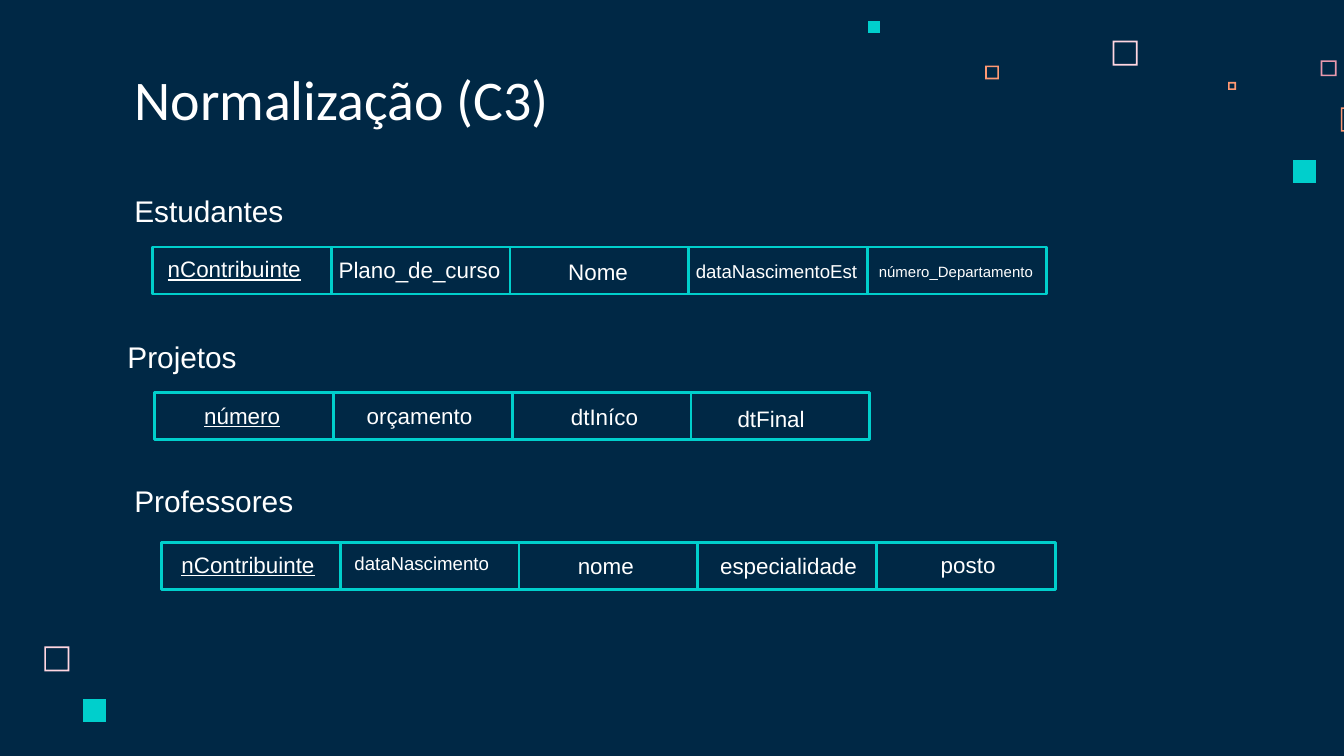
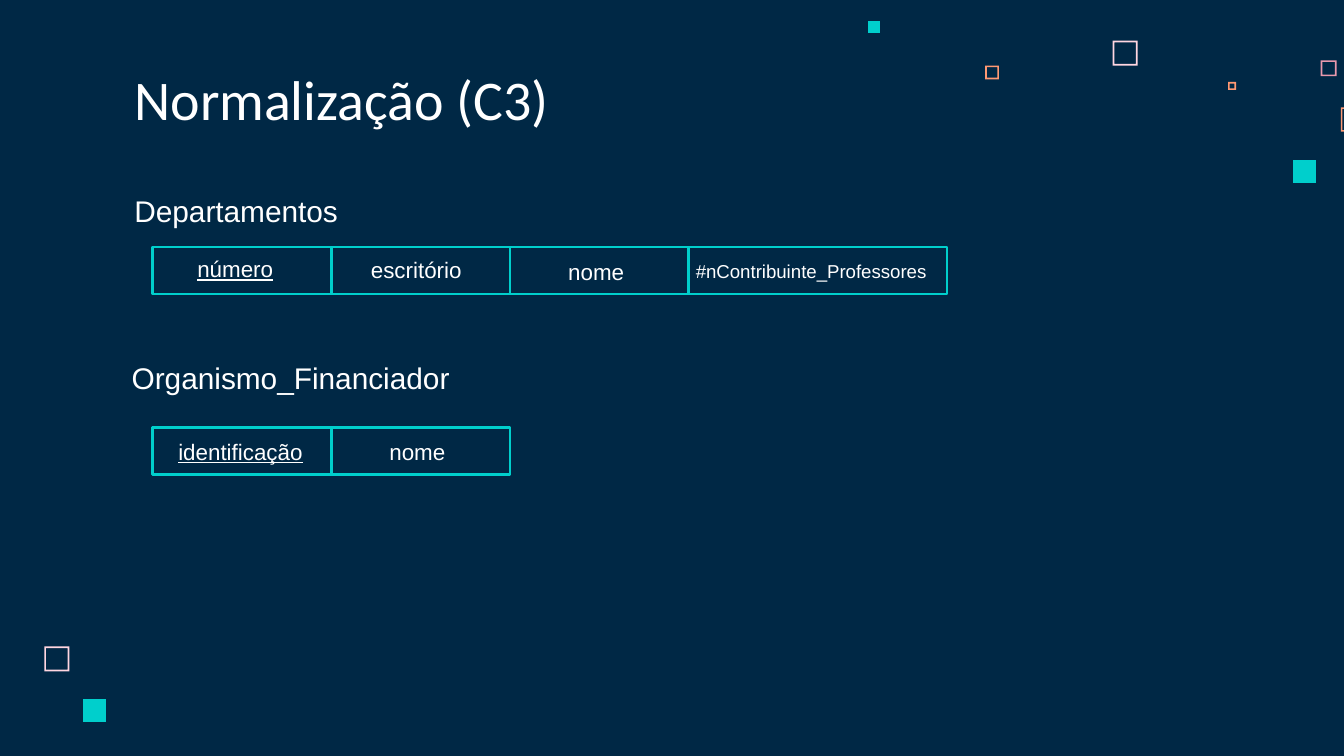
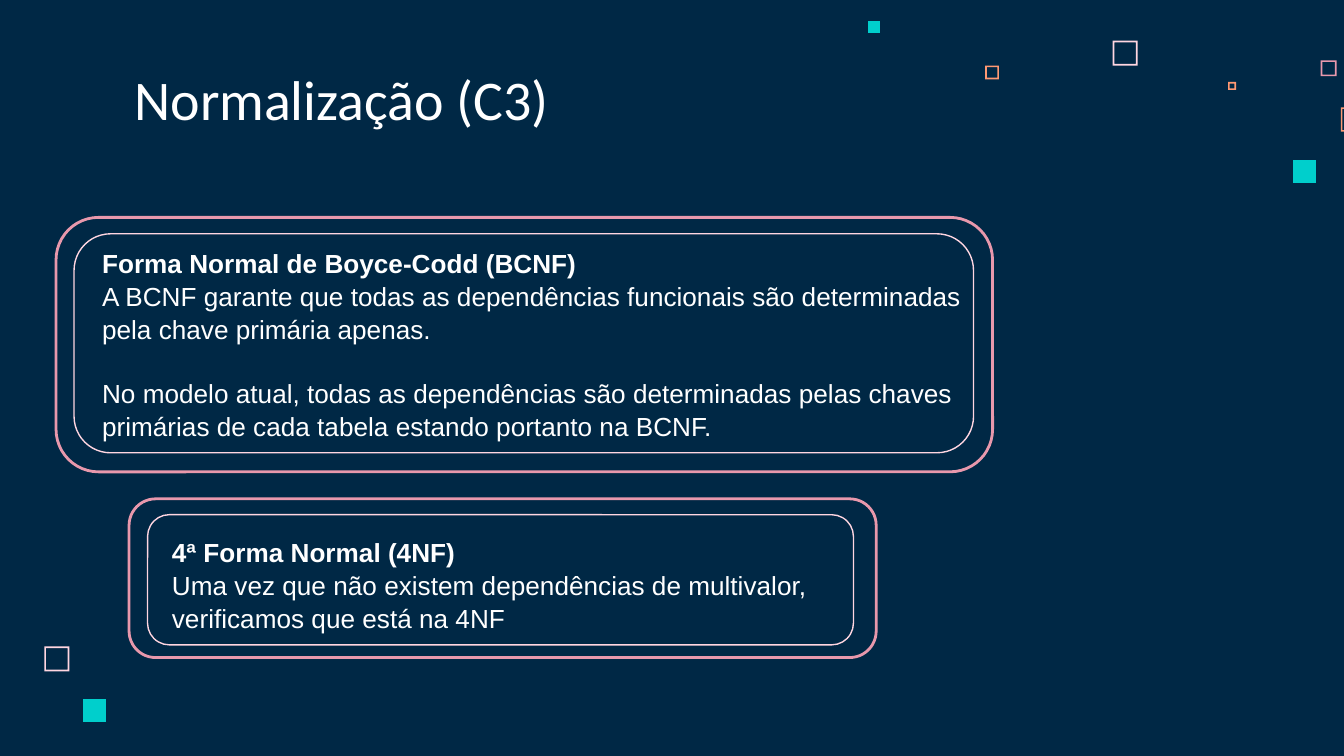
from dataclasses import dataclass

from pptx import Presentation
from pptx.dml.color import RGBColor
from pptx.enum.shapes import MSO_SHAPE, PP_PLACEHOLDER
from pptx.enum.text import MSO_ANCHOR, MSO_AUTO_SIZE, PP_ALIGN
from pptx.presentation import Presentation as Deck
from pptx.slide import Slide, SlideLayout
from pptx.text.text import TextFrame
from pptx.util import Cm, Pt


@dataclass(frozen=True)
class Theme:
    background: RGBColor = RGBColor(0x00, 0x28, 0x45)
    text: RGBColor = RGBColor(0xFF, 0xFF, 0xFF)
    teal: RGBColor = RGBColor(0x00, 0xCF, 0xCC)
    orange: RGBColor = RGBColor(0xFF, 0x99, 0x73)
    pink: RGBColor = RGBColor(0xE8, 0x98, 0xAC)
    pale_pink: RGBColor = RGBColor(0xFF, 0xD6, 0xE1)
    title_font: str = "Calibri"
    body_font: str = "Arial"
    title_size: int = 30
    heading_size: int = 16
    body_size: int = 14
    field_size: int = 12
    small_size: int = 10
    tiny_size: int = 8
    thick_line: float = 1.5
    thin_line: float = 0.75


THEME = Theme()
TITLE = "Normalização (C3)"
CELL_WIDTH = 3.38
CELL_HEIGHT = 0.89
SQUARE_BORDER = 0.03


@dataclass(frozen=True)
class Square:
    """Decorative square; lengths in centimetres."""
    left: float
    top: float
    side: float
    color: RGBColor
    hollow: bool = True


@dataclass(frozen=True)
class Label:
    """One line of text; lengths in centimetres."""
    text: str
    left: float
    top: float
    width: float = 3.63
    size: int = THEME.field_size
    key: bool = False


@dataclass(frozen=True)
class Entity:
    """A heading over a row of cells, one for each field."""
    heading: Label
    left: float
    top: float
    fields: tuple[Label, ...]
    last_width: float = CELL_WIDTH


@dataclass(frozen=True)
class Box:
    left: float
    top: float
    width: float
    height: float


@dataclass(frozen=True)
class Panel:
    """Text inside a double rounded border."""
    outer: Box
    inner: Box
    text_box: Box
    heading: str
    paragraphs: tuple[str, ...]


SQUARES = (
    Square(21.03, 0.77, 0.47, THEME.pale_pink),
    Square(24.96, 1.14, 0.3, THEME.pink),
    Square(23.21, 1.55, 0.15, THEME.orange),
    Square(25.34, 2.03, 0.46, THEME.orange),
    Square(24.43, 3.02, 0.44, THEME.teal, hollow=False),
    Square(18.62, 1.24, 0.26, THEME.orange),
    Square(16.4, 0.4, 0.23, THEME.teal, hollow=False),
    Square(0.84, 12.22, 0.47, THEME.pale_pink),
    Square(1.57, 13.21, 0.44, THEME.teal, hollow=False),
)


def heading(text: str, left: float, top: float, width: float = 3.63) -> Label:
    return Label(text, left, top, width, THEME.heading_size)


ENTITY_SLIDES = (
    (
        Entity(heading("Estudantes", 2.29, 3.51), 2.88, 4.67, (
            Label("nContribuinte", 2.92, 4.7, key=True),
            Label("Plano_de_curso", 6.15, 4.72),
            Label("Nome", 10.49, 4.75, 1.7),
            Label("dataNascimentoEst", 12.9, 4.78, 5.31, THEME.small_size),
            Label("número_Departamento", 16.36, 4.83, 5.31, THEME.tiny_size),
        )),
        Entity(heading("Projetos", 2.16, 6.27), 2.92, 7.42, (
            Label("número", 3.61, 7.47, key=True),
            Label("orçamento", 6.68, 7.47),
            Label("dtIníco", 10.54, 7.49, 1.85),
            Label("dtFinal", 13.69, 7.54, 5.31),
        )),
        Entity(heading("Professores", 2.29, 8.99), 3.05, 10.25, (
            Label("nContribuinte", 3.18, 10.29, key=True),
            Label("dataNascimento", 6.45, 10.31, 5.31, THEME.small_size),
            Label("nome", 10.67, 10.31, 1.85),
            Label("especialidade", 13.36, 10.31, 5.46),
            Label("posto", 17.53, 10.29, 5.46),
        )),
    ),
    (
        Entity(heading("Departamentos", 2.29, 3.51, 6.35), 2.88, 4.67, (
            Label("número", 3.48, 4.7, key=True),
            Label("escritório", 6.76, 4.72),
            Label("nome", 10.49, 4.75, 1.7),
            Label("#nContribuinte_Professores", 12.9, 4.78, 5.31, THEME.small_size),
        ), last_width=4.88),
        Entity(heading("Organismo_Financiador", 2.24, 6.68, 7.42), 2.88, 8.08, (
            Label("identificação", 3.12, 8.15, key=True),
            Label("nome", 7.11, 8.15),
        )),
    ),
)

PANELS = (
    Panel(
        Box(1.06, 4.11, 17.7, 4.81), Box(1.4, 4.42, 17.0, 4.14),
        Box(1.68, 4.52, 17.07, 3.84),
        "Forma Normal de Boyce-Codd (BCNF)",
        (
            "A BCNF garante que todas as dependências funcionais são "
            "determinadas pela chave primária apenas.",
            "No modelo atual, todas as dependências são determinadas pelas "
            "chaves primárias de cada tabela estando portanto na BCNF.",
        ),
    ),
    Panel(
        Box(2.44, 9.43, 14.12, 3.0), Box(2.79, 9.73, 13.34, 2.46),
        Box(3.0, 9.98, 12.9, 2.06),
        "4ª Forma Normal (4NF)",
        (
            "Uma vez que não existem dependências de multivalor, "
            "verificamos que está na 4NF",
        ),
    ),
)


def corners(left: float, top: float, side: float) -> list[tuple[int, int]]:
    right, bottom = left + side, top + side
    points = ((left, top), (right, top), (right, bottom), (left, bottom))
    return [(Cm(x), Cm(y)) for x, y in points]


def add_square(slide: Slide, layout: SlideLayout, square: Square) -> None:
    """Draw a square and hand it over to the shared layout."""
    first, *others = corners(square.left, square.top, square.side)
    builder = slide.shapes.build_freeform(*first)
    builder.add_line_segments(others)
    if square.hollow:
        hole = corners(square.left + SQUARE_BORDER, square.top + SQUARE_BORDER,
                       square.side - 2 * SQUARE_BORDER)
        first, *others = hole[::-1]
        builder.move_to(*first)
        builder.add_line_segments(others)
    shape = builder.convert_to_shape()
    shape.fill.solid()
    shape.fill.fore_color.rgb = square.color
    shape.line.fill.background()
    shape.shadow.inherit = False
    layout.shapes.element.append(shape.element)


def add_border(slide: Slide, box: Box, color: RGBColor, weight: float,
               roundness: float) -> None:
    shape = slide.shapes.add_shape(
        MSO_SHAPE.ROUNDED_RECTANGLE,
        Cm(box.left), Cm(box.top), Cm(box.width), Cm(box.height))
    shape.adjustments[0] = roundness
    shape.fill.background()
    shape.line.color.rgb = color
    shape.line.width = Pt(weight)
    shape.shadow.inherit = False


def add_text_box(slide: Slide, box: Box) -> TextFrame:
    text_box = slide.shapes.add_textbox(
        Cm(box.left), Cm(box.top), Cm(box.width), Cm(box.height))
    text_frame = text_box.text_frame
    text_frame.word_wrap = True
    text_frame.auto_size = MSO_AUTO_SIZE.SHAPE_TO_FIT_TEXT
    return text_frame


def style_paragraph(paragraph, size: int, font: str = THEME.body_font) -> None:
    paragraph.font.name = font
    paragraph.font.size = Pt(size)
    paragraph.font.color.rgb = THEME.text


def add_label(slide: Slide, label: Label) -> None:
    height = label.size * 0.04 + 0.28
    text_frame = add_text_box(slide, Box(label.left, label.top, label.width, height))
    paragraph = text_frame.paragraphs[0]
    paragraph.text = label.text
    style_paragraph(paragraph, label.size)
    if label.key:
        paragraph.font.underline = True


def add_entity(slide: Slide, entity: Entity) -> None:
    add_label(slide, entity.heading)
    last = len(entity.fields) - 1
    for index, field in enumerate(entity.fields):
        width = entity.last_width if index == last else CELL_WIDTH
        cell = Box(entity.left + index * CELL_WIDTH, entity.top, width, CELL_HEIGHT)
        add_border(slide, cell, THEME.teal, THEME.thick_line, 0)
        add_label(slide, field)


def add_panel(slide: Slide, panel: Panel) -> None:
    add_border(slide, panel.outer, THEME.pink, THEME.thick_line, 0.167)
    add_border(slide, panel.inner, THEME.pale_pink, THEME.thin_line, 0.167)
    text_frame = add_text_box(slide, panel.text_box)
    for index, text in enumerate((panel.heading, *panel.paragraphs)):
        paragraph = text_frame.add_paragraph() if index else text_frame.paragraphs[0]
        paragraph.text = text
        paragraph.line_spacing = 1.05
        style_paragraph(paragraph, THEME.body_size)
        paragraph.font.bold = index == 0
        if index > 1:
            paragraph.space_before = Pt(16.8)


def add_titled_slide(presentation: Deck, layout: SlideLayout) -> Slide:
    slide = presentation.slides.add_slide(layout)
    title = slide.shapes.title
    title.left, title.top, title.width, title.height = (
        Cm(2.29), Cm(1.14), Cm(13.13), Cm(1.6))
    text_frame = title.text_frame
    text_frame.text = TITLE
    text_frame.word_wrap = True
    text_frame.auto_size = MSO_AUTO_SIZE.NONE
    text_frame.vertical_anchor = MSO_ANCHOR.BOTTOM
    text_frame.margin_left = text_frame.margin_right = Cm(0.25)
    text_frame.margin_top = text_frame.margin_bottom = Cm(0.25)
    paragraph = text_frame.paragraphs[0]
    paragraph.alignment = PP_ALIGN.LEFT
    style_paragraph(paragraph, THEME.title_size, THEME.title_font)
    return slide


def keep_only_title(layout: SlideLayout) -> None:
    for placeholder in list(layout.placeholders):
        if placeholder.placeholder_format.type != PP_PLACEHOLDER.TITLE:
            layout.shapes.element.remove(placeholder.element)


def main() -> None:
    presentation = Presentation()
    presentation.slide_width = Cm(25.4)
    presentation.slide_height = Cm(14.29)
    background = presentation.slide_master.background.fill
    background.solid()
    background.fore_color.rgb = THEME.background

    layout = presentation.slide_layouts.get_by_name("Title Only")
    keep_only_title(layout)
    slides = [add_titled_slide(presentation, layout) for _ in range(3)]
    for square in SQUARES:
        add_square(slides[0], layout, square)

    for slide, entities in zip(slides, ENTITY_SLIDES):
        for entity in entities:
            add_entity(slide, entity)
    for panel in PANELS:
        add_panel(slides[-1], panel)

    presentation.save("out.pptx")


if __name__ == "__main__":
    main()
